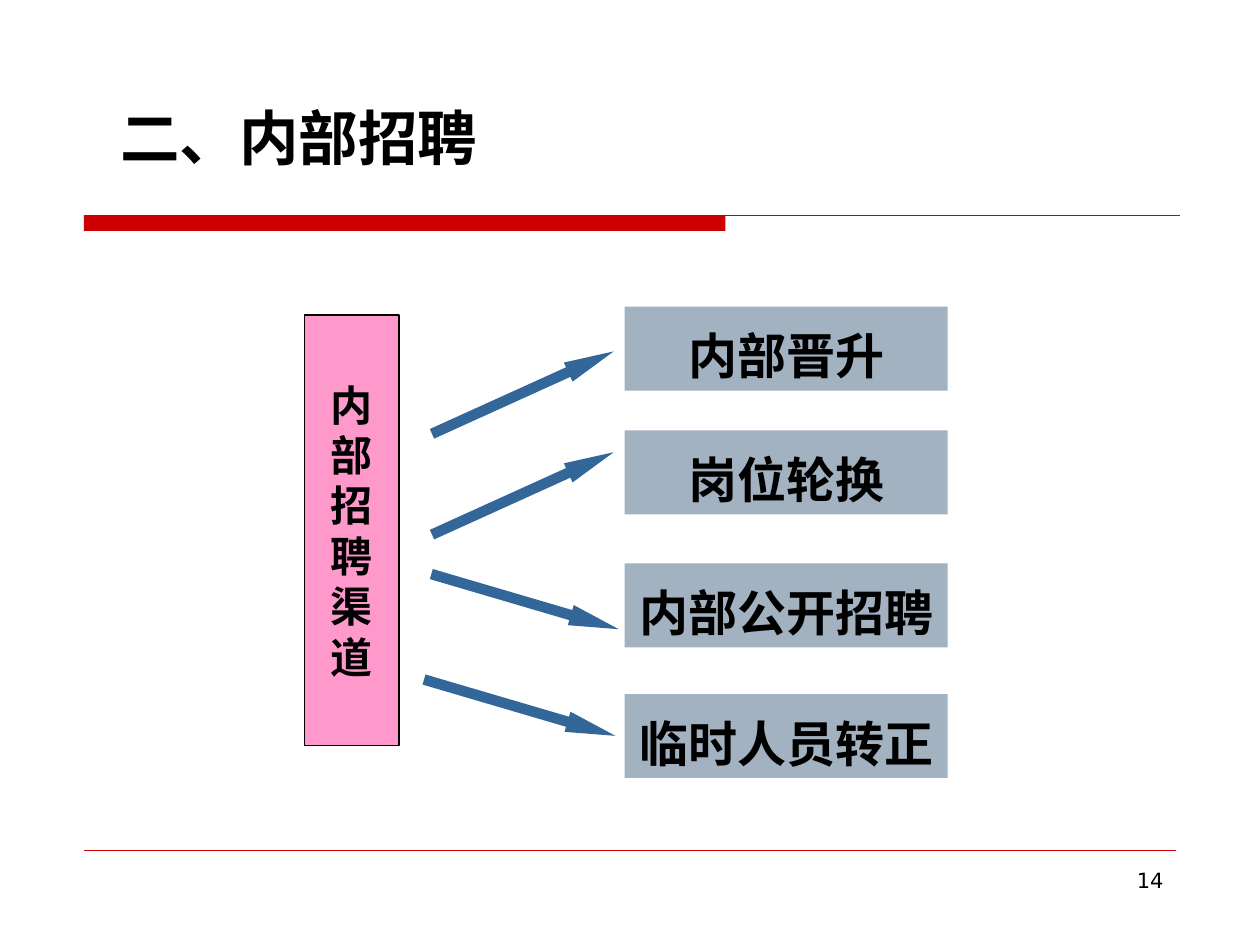
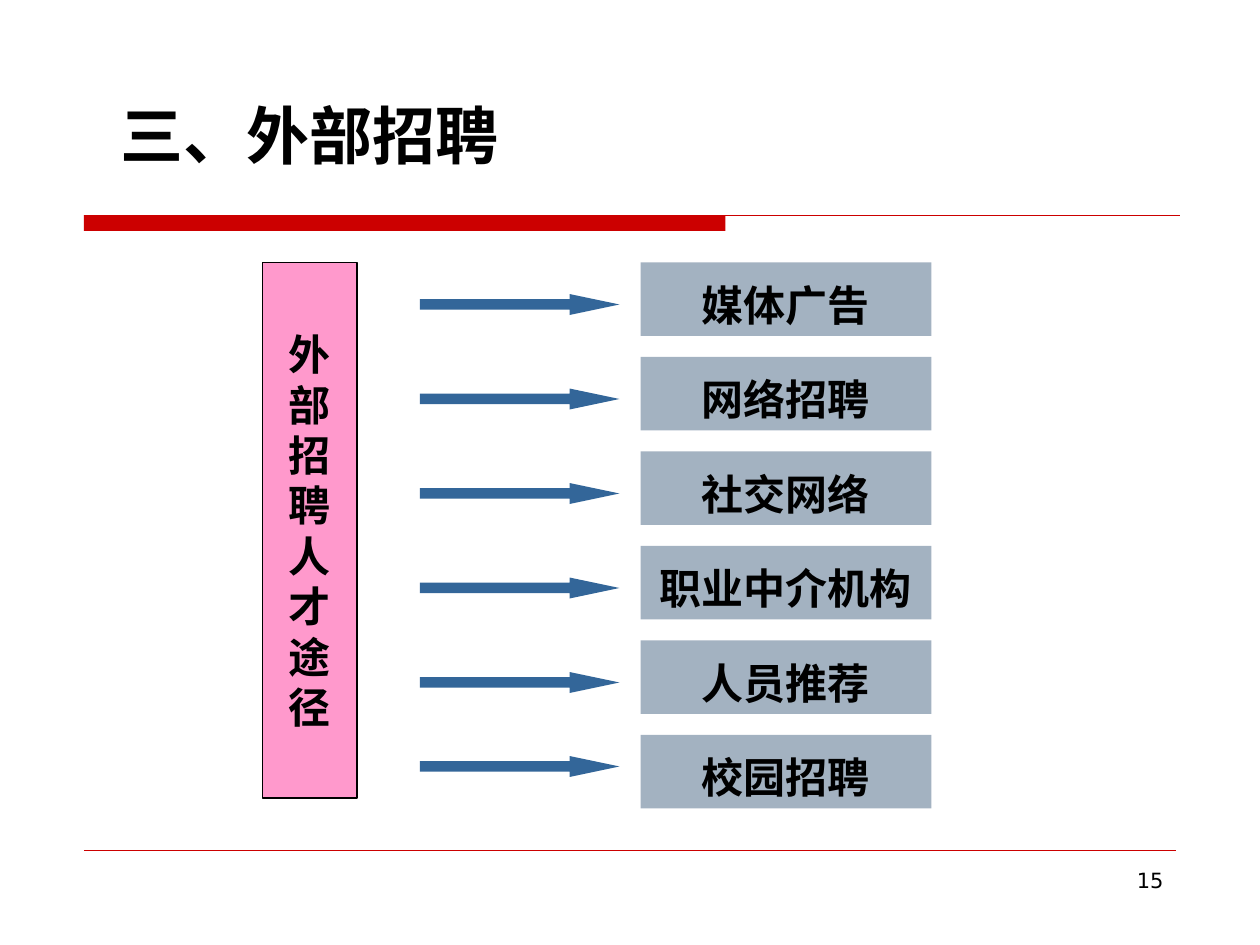
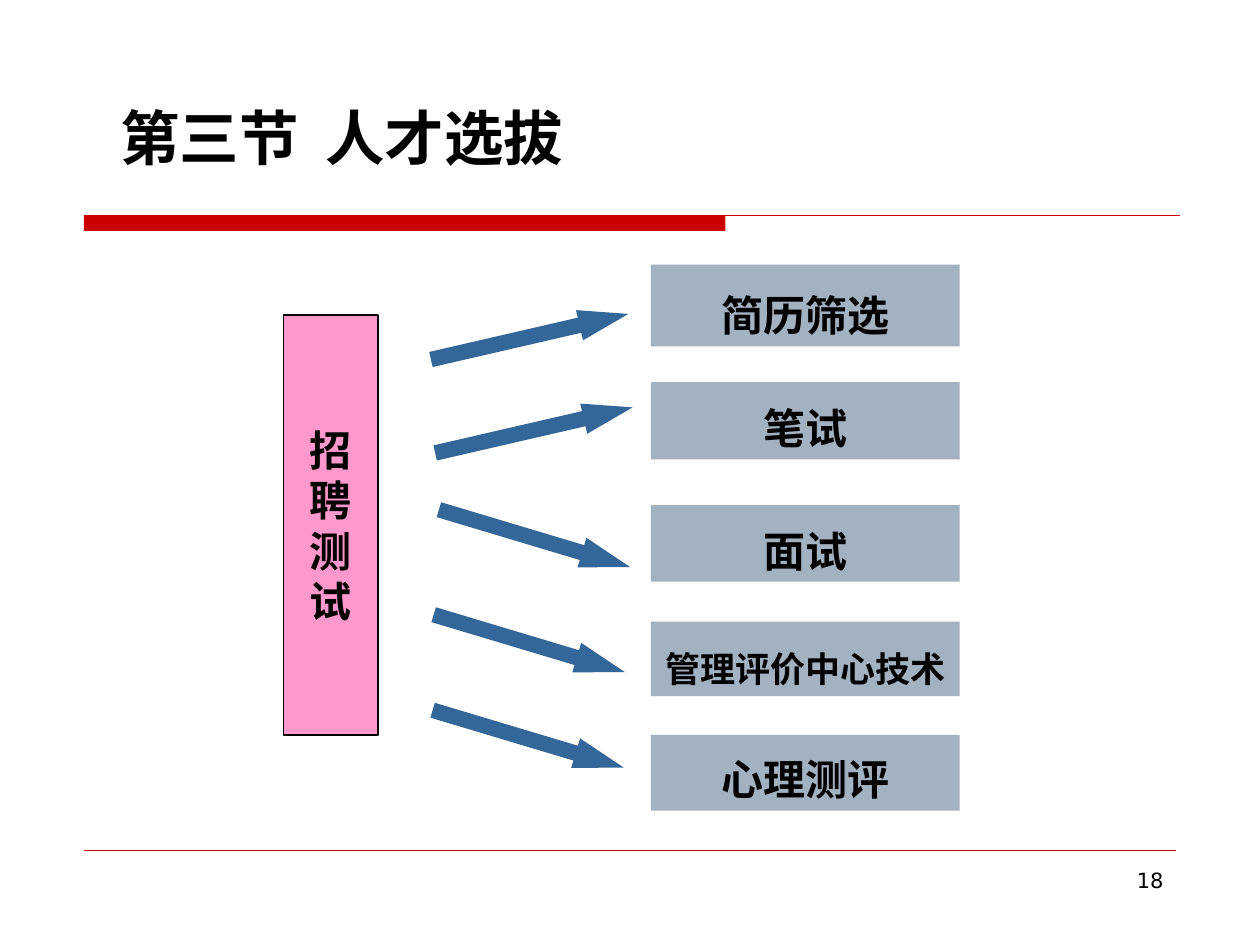
from dataclasses import dataclass

from lxml import etree
from pptx import Presentation
from pptx.dml.color import RGBColor
from pptx.enum.shapes import MSO_CONNECTOR, MSO_SHAPE
from pptx.enum.text import MSO_ANCHOR, PP_ALIGN
from pptx.oxml.ns import qn
from pptx.util import Inches, Pt

RECT, ARROW = MSO_SHAPE.RECTANGLE, MSO_SHAPE.RIGHT_ARROW
LINE = MSO_CONNECTOR.STRAIGHT
TOP, MID, LOW = MSO_ANCHOR.TOP, MSO_ANCHOR.MIDDLE, MSO_ANCHOR.BOTTOM
LEFT, MIDDLE, RIGHT = PP_ALIGN.LEFT, PP_ALIGN.CENTER, PP_ALIGN.RIGHT


@dataclass(frozen=True)
class Theme:
    red: str = "CC0000"
    pink: str = "FF99CC"
    grey: str = "A3B2C1"
    blue: str = "336699"
    ink: str = "000000"
    sans: str = "DejaVu Sans"
    serif: str = "Times New Roman"
    label: str = "Lato"
    root: int = 24
    page: int = 12
    gap: int = 760  # extra width of a space in a title, in 1/100 pt


theme = Theme()
deck = Presentation()
deck.slide_width, deck.slide_height = Inches(10), Inches(7.5)
CELL = deck.slide_width / 120  # the slide is 120 columns by 90 rows


def block(slide, kind, box, fill=None):
    """Add a preset shape, or a text box if kind is None; box is in cells."""
    area = [round(n * CELL) for n in box]
    if kind is None:
        return slide.shapes.add_textbox(*area)
    shape = slide.shapes.add_shape(kind, *area)
    shape.shadow.inherit = False
    shape.fill.solid()
    shape.fill.fore_color.rgb = RGBColor.from_string(fill)
    shape.line.fill.background()
    return shape


def write(shape, lines, size, font, align, anchor, bold=True, wrap=True):
    """Fill a shape with one paragraph a line; each word is a run."""
    frame = shape.text_frame
    frame.word_wrap = wrap
    frame.vertical_anchor = anchor
    for i, line in enumerate(lines):
        para = frame.add_paragraph() if i else frame.paragraphs[0]
        para.alignment = align
        for part in line.replace(" ", "| |").split("|"):
            run = para.add_run()
            run.text = part
            run.font.size, run.font.bold, run.font.name = Pt(size), bold, font
            run.font.color.rgb = RGBColor.from_string(theme.ink)
            if part == " ":
                run.font._element.set("spc", str(theme.gap))


# Each row: label, type size, font, box top, box height,
# then arrow left, top, width and turn.
lato, sans = theme.label, theme.sans
inner = [
    ("内部晋升", 28, lato, 29.2, 8, 40.3, 36.4, 19, 335.6),
    ("岗位轮换", 28, lato, 41, 8, 40.3, 46, 19, 335.6),
    ("内部公开招聘", 28, lato, 53.65, 8, 40.7, 56.3, 18.6, 16.4),
    ("临时人员转正", 28, lato, 66.1, 8, 40, 66.4, 19, 16.4),
]
names = ["媒体广告", "网络招聘", "社交网络", "职业中介机构", "人员推荐", "校园招聘"]
outer = [
    (name, 24, sans if name == "社交网络" else lato, 25 + 9 * i, 7,
     40, min(28 + 9 * i, 72), 19, 0)
    for i, name in enumerate(names)
]
tests = [
    ("简历筛选", 24, lato, 25.2, 7.8, 40.8, 30.6, 19.3, 347),
    ("笔试", 24, lato, 36.4, 7.35, 41.2, 39.5, 19.3, 347),
    ("面试", 24, lato, 48.1, 7.3, 41.4, 49.8, 19, 16.7),
    ("管理评价中心技术", 20, lato, 59.2, 7.1, 40.9, 59.8, 19, 16.7),
    ("心理测评", 24, lato, 70, 7.2, 40.8, 68.9, 19, 16.7),
]

# Each slide: title, its size and width, page, root label and box,
# left and width of the boxes, arrow height and head, rows.
slides = [
    ("二、内部招聘", 34, 47.6, "14", "内部招聘渠道", (29, 30, 9, 41),
     59.5, 30.75, 2, 2.38, inner),
    ("三、外部招聘", 36, 45.7, "15", "外部招聘人才途径", (25, 25, 9, 51),
     61, 27.7, 2, 2.38, outer),
    ("第三节 人才选拔", 34, 55.7, "18", "招聘测试", (27, 30, 9, 40),
     62, 29.4, 2.95, 1.62, tests),
]

for title, size, span, page, root, trunk, left, wide, thick, head, rows in slides:
    slide = deck.slides.add_slide(deck.slide_layouts[6])

    block(slide, RECT, (8, 20.5, 61.1, 1.5), theme.red)
    for end, row, weight in [(112.4, 20.5, 0.75), (112, 81, 0.25)]:
        rule = slide.shapes.add_connector(
            LINE, *[round(n * CELL) for n in (8, row, end, row)])
        rule.line.color.rgb = RGBColor.from_string(theme.red)
        rule.line.width = Pt(weight)
        etree.SubElement(rule._element.spPr, qn("a:effectLst"))

    head_box = block(slide, None, (10.3, 10.5, span, 6.5))
    write(head_box, [title], size, sans, LEFT, LOW)
    foot = block(slide, None, (86, 82, 26, 6.2))
    write(foot, [page], theme.page, sans, RIGHT, TOP, bold=False)

    stem = block(slide, RECT, trunk, theme.pink)
    stem.line.color.rgb = RGBColor.from_string(theme.ink)
    stem.line.width = Pt(0.75)
    write(stem, root, theme.root, theme.serif, MIDDLE, MID, wrap=False)

    for label, points, font, top, high, start, level, reach, turn in rows:
        leaf = block(slide, RECT, (left, top, wide, high), theme.grey)
        write(leaf, [label], points, font, MIDDLE, LOW)
        arrow = block(slide, ARROW, (start, level, reach, thick), theme.blue)
        arrow.adjustments[0], arrow.adjustments[1] = 0.5, head
        arrow.rotation = turn

deck.save("out.pptx")
